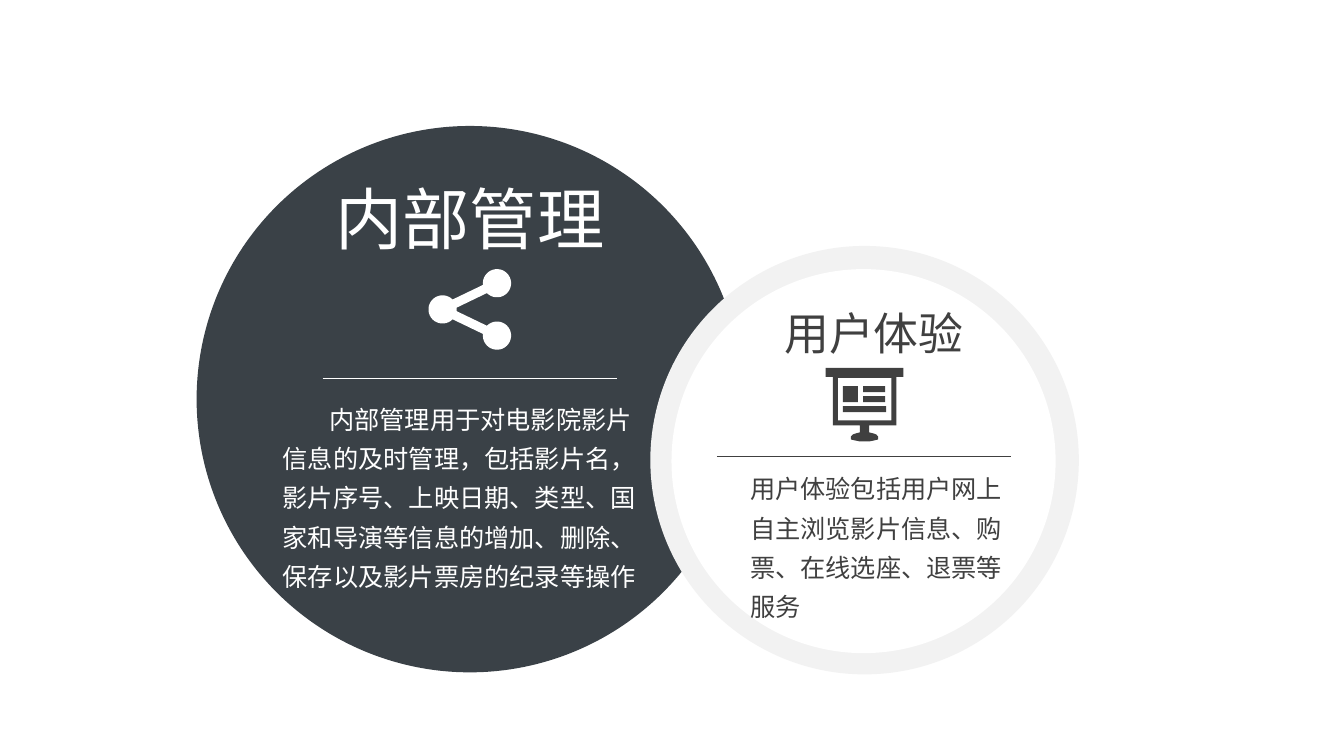
from dataclasses import dataclass
from math import asin, atan2, cos, degrees, hypot, radians, sin

from lxml.etree import SubElement
from pptx import Presentation
from pptx.dml.color import RGBColor
from pptx.enum.shapes import MSO_CONNECTOR as Connector, MSO_SHAPE as Preset
from pptx.enum.text import MSO_AUTO_SIZE as AutoSize, PP_ALIGN as Align
from pptx.oxml.ns import qn
from pptx.shapes.autoshape import Shape
from pptx.slide import Slide
from pptx.util import Emu, Pt

EMU_PER_PX = 9144
COLORS = {"slate": "3A4147", "ring": "F2F2F2", "white": "FFFFFF", "ink": "404040"}
TITLE_FONT = "Calibri"
BODY_FONT = "Noto Sans CJK SC"
Point = tuple[float, float]


@dataclass(frozen=True)
class Block:
    preset: Preset
    left: int
    top: int
    width: int
    height: int
    color: str


@dataclass(frozen=True)
class Rule:
    left: int
    right: int
    y: int
    color: str


@dataclass(frozen=True)
class Label:
    text: str
    left: int
    top: int
    width: int
    height: int
    size: int
    font: str
    color: str
    align: Align = Align.LEFT
    spacing: float = 1.0
    inset: tuple[int, int] = (10, 5)
    indent: int = 0


@dataclass(frozen=True)
class Icon:
    contours: list[list[Point]]
    color: str


def px(value: float) -> Emu:
    return Emu(round(value * EMU_PER_PX))


def rgb(name: str) -> RGBColor:
    return RGBColor.from_string(COLORS[name])


def paint(shape: Shape, color: str) -> None:
    shape.shadow.inherit = False
    shape.fill.solid()
    shape.fill.fore_color.rgb = rgb(color)
    shape.line.fill.background()


def draw_block(slide: Slide, block: Block) -> None:
    box = (block.left, block.top, block.width, block.height)
    paint(slide.shapes.add_shape(block.preset, *map(px, box)), block.color)


def draw_icon(slide: Slide, icon: Icon) -> None:
    outlines = [[(px(x), px(y)) for x, y in contour] for contour in icon.contours]
    builder = slide.shapes.build_freeform(*outlines[0][0], scale=1.0)
    for index, outline in enumerate(outlines):
        if index:
            builder.move_to(*outline[0])
        builder.add_line_segments(outline[1:], close=True)
    paint(builder.convert_to_shape(), icon.color)


def draw_rule(slide: Slide, rule: Rule) -> None:
    ends = (rule.left, rule.y, rule.right, rule.y)
    connector = slide.shapes.add_connector(Connector.STRAIGHT, *map(px, ends))
    connector.line.color.rgb = rgb(rule.color)
    connector.line.width = Pt(0.5)
    SubElement(connector._element.spPr, qn("a:effectLst"))


def draw_label(slide: Slide, label: Label) -> None:
    box = (label.left, label.top, label.width, label.height)
    frame = slide.shapes.add_textbox(*map(px, box)).text_frame
    side, edge = map(px, label.inset)
    frame_format = {
        "word_wrap": True, "auto_size": AutoSize.SHAPE_TO_FIT_TEXT,
        "margin_left": side, "margin_right": side,
        "margin_top": edge, "margin_bottom": edge,
    }
    for name, value in frame_format.items():
        setattr(frame, name, value)
    paragraph = frame.paragraphs[0]
    paragraph.alignment = label.align
    paragraph.line_spacing = label.spacing
    if label.indent:
        paragraph._p.get_or_add_pPr().set("indent", str(px(label.indent)))
    run = paragraph.add_run()
    run.text = label.text
    for name, value in {"name": label.font, "size": Pt(label.size)}.items():
        setattr(run.font, name, value)
    run.font.color.rgb = rgb(label.color)
    SubElement(run._r.get_or_add_rPr(), qn("a:ea")).set("typeface", label.font)


def arc(center: Point, radius: float, start: float, end: float) -> list[Point]:
    steps = max(1, round((end - start) / 10))
    angles = [radians(start + (end - start) * step / steps) for step in range(steps + 1)]
    return [(center[0] + radius * cos(a), center[1] + radius * sin(a)) for a in angles]


def share_outline(hub: Point, reach: int, rise: int, radius: int, bar: int) -> list[Point]:
    slope = degrees(atan2(rise, reach))
    gap = degrees(asin(bar / 2 / radius))
    upper = (hub[0] + reach, hub[1] - rise)
    lower = (hub[0] + reach, hub[1] + rise)
    return [
        *arc(hub, radius, slope + gap, 360 - slope - gap),
        *arc(upper, radius, 180 - slope + gap, 540 - slope - gap),
        *arc(hub, radius, gap - slope, slope - gap),
        *arc(lower, radius, 180 + slope + gap, 540 + slope - gap),
    ]


def mirrored(half: list[Point], axis: float) -> list[Point]:
    return half + [(2 * axis - x, y) for x, y in reversed(half)]


BOARD_AXIS = 857.5
BOARD_HALF = [
    (896, 365), (896, 374), (889, 374), (889, 422), (862, 422), (862, 429),
    (866, 430), (869, 431), (871, 433), (871, 436), (867, 437), (862, 438),
]
SCREEN_HALF = [(884, 375), (884, 417)]
BOARD_CONTENT = [(836, 383, 15, 16), (856, 383, 22, 6), (856, 393, 22, 6), (836, 403, 43, 6)]

ELEMENTS = [
    Block(Preset.OVAL, 195, 125, 542, 542, "slate"),
    Label("内部管理", 304, 171, 324, 96, 48, TITLE_FONT, "white", Align.CENTER),
    Rule(320, 612, 375, "white"),
    Label(
        "内部管理用于对电影院影片信息的及时管理，包括影片名，影片序号、上映日期、类型、国家和导演等信息的增加、删除、保存以及影片票房的纪录等操作",
        267, 388, 377, 202, 18, BODY_FONT, "white", Align.CENTER, 1.3, (7, 4), 42,
    ),
    Icon([share_outline((439, 307), 54, 26, 14, 9)], "white"),
    Block(Preset.OVAL, 645, 244, 425, 425, "ring"),
    Block(Preset.OVAL, 666, 267, 381, 381, "white"),
    Label("用户体验", 768, 298, 235, 67, 32, TITLE_FONT, "ink"),
    Icon([mirrored(BOARD_HALF, BOARD_AXIS), mirrored(SCREEN_HALF, BOARD_AXIS)], "ink"),
    *(Block(Preset.RECTANGLE, *box, "ink") for box in BOARD_CONTENT),
    Rule(711, 1003, 453, "ink"),
    Label(
        "用户体验包括用户网上自主浏览影片信息、购票、在线选座、退票等服务",
        737, 457, 283, 163, 18, BODY_FONT, "ink", Align.LEFT, 1.3, (7, 4),
    ),
]
DRAWERS = {Block: draw_block, Icon: draw_icon, Rule: draw_rule, Label: draw_label}


def main() -> None:
    presentation = Presentation()
    presentation.slide_width = px(1333)
    presentation.slide_height = px(750)
    slide = presentation.slides.add_slide(presentation.slide_layouts[6])
    for element in ELEMENTS:
        DRAWERS[type(element)](slide, element)
    presentation.save("out.pptx")


if __name__ == "__main__":
    main()
